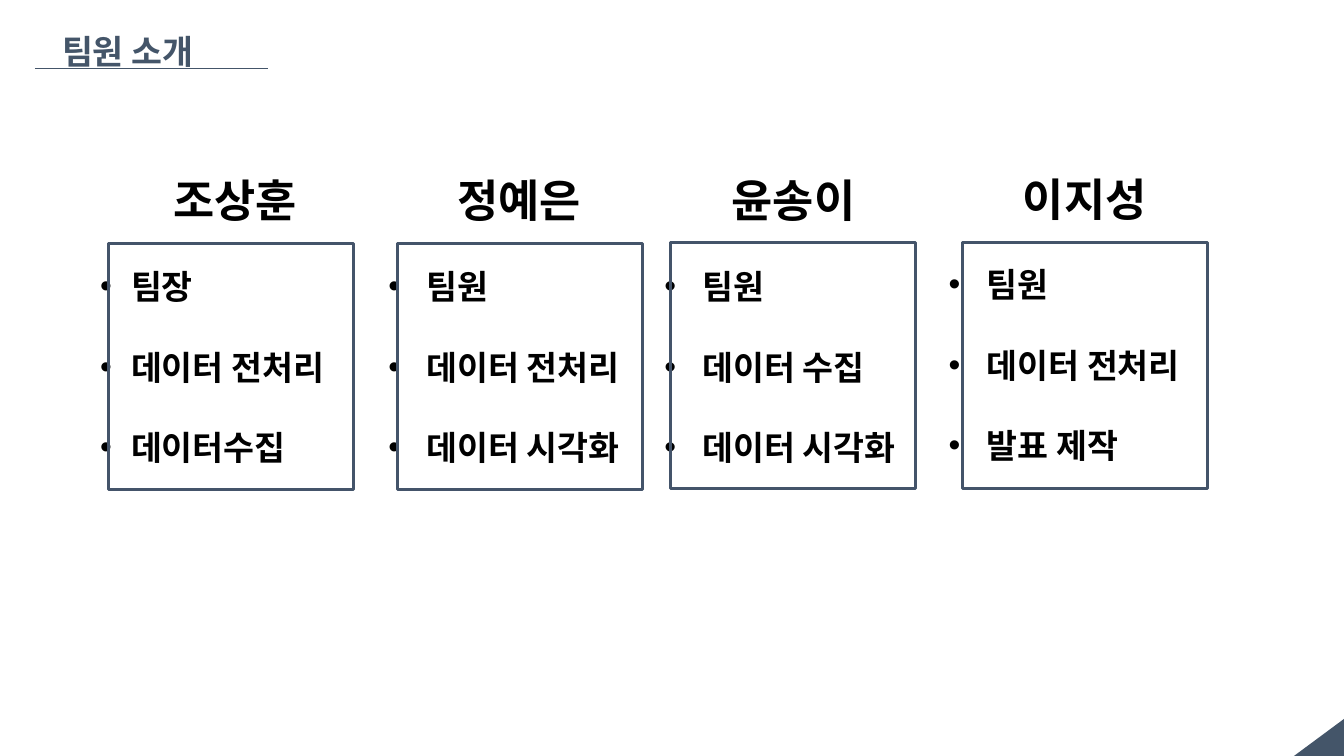
"""Build the team introduction slide."""
from lxml.etree import SubElement
from pptx import Presentation
from pptx.dml.color import RGBColor
from pptx.enum.shapes import MSO_CONNECTOR, MSO_SHAPE
from pptx.enum.text import MSO_ANCHOR, MSO_AUTO_SIZE, PP_ALIGN
from pptx.oxml.ns import qn
from pptx.util import Emu, Pt

SCALE = 9080
MEMBERS = [
    ("조상훈", (163, 168), (108, 243), (90, 260), 31, ["팀장", "데이터 전처리", "데이터수집"]),
    ("정예은", (447, 168), (397, 243), (378, 260), 38, ["팀원", "데이터 전처리", "데이터 시각화"]),
    ("윤송이", (721, 168), (670, 242), (654, 260), 38, ["팀원", "데이터 수집", "데이터 시각화"]),
    ("이지성", (1012, 167), (962, 242), (938, 258), 38, ["팀원", "데이터 전처리", "발표 제작"]),
]


def px(value):
    return Emu(value * SCALE)


def color(code):
    return RGBColor.from_string(code)


def apply(target, values):
    for name, value in values.items():
        setattr(target, name, value)


class TeamSlide:
    font_name = "Noto Sans CJK KR"
    accent = "445569"
    frame_line = "44546A"
    ink = "000000"

    def __init__(self, presentation):
        self.slide = presentation.slides.add_slide(presentation.slide_layouts[4])

    def place(self, shape, left, top, width, height):
        apply(shape, {"left": px(left), "top": px(top), "width": px(width), "height": px(height)})

    def fill_text(self, shape, lines, size, code, align=PP_ALIGN.LEFT, wrap=True, hang=None):
        frame = shape.text_frame
        apply(frame, {
            "text": "\n".join(lines), "word_wrap": wrap,
            "auto_size": MSO_AUTO_SIZE.NONE, "vertical_anchor": MSO_ANCHOR.TOP,
            "margin_left": px(10), "margin_right": px(10),
            "margin_top": px(5), "margin_bottom": px(5),
        })
        for index, paragraph in enumerate(frame.paragraphs):
            if hang:
                self.bullet(paragraph, hang)
            apply(paragraph, {
                "alignment": align, "line_spacing": Pt(round(size * 1.2)),
                "space_before": Pt(28.7 if index else 0), "space_after": Pt(0),
            })
            for run in paragraph.runs:
                apply(run.font, {"size": Pt(size), "bold": True, "name": self.font_name})
                run.font.color.rgb = color(code)
                SubElement(run._r.get_or_add_rPr(), qn("a:ea"), typeface=self.font_name)

    def bullet(self, paragraph, hang):
        properties = paragraph._p.get_or_add_pPr()
        properties.set("marL", str(px(hang)))
        properties.set("indent", str(-px(hang)))
        bullet_color = SubElement(properties, qn("a:buClr"))
        SubElement(bullet_color, qn("a:srgbClr"), val=self.ink)
        SubElement(properties, qn("a:buFont"), typeface="Arial")
        SubElement(properties, qn("a:buChar"), char="•")

    def title(self, text):
        shape = self.slide.shapes.title
        self.place(shape, 52, 26, 390, 43)
        self.fill_text(shape, [text], 24, self.accent)

    def rule(self, left, right, top):
        line = self.slide.shapes.add_connector(
            MSO_CONNECTOR.STRAIGHT, px(left), px(top), px(right), px(top))
        line.line.color.rgb = color(self.accent)
        line.line.width = Pt(0.75)
        SubElement(line._element.spPr, qn("a:effectLst"))

    def name(self, text, left, top):
        shape = self.slide.shapes.add_textbox(px(left), px(top), px(144), px(64))
        self.fill_text(shape, [text], 32, self.ink, PP_ALIGN.CENTER, wrap=False)

    def frame(self, left, top):
        shape = self.slide.shapes.add_shape(
            MSO_SHAPE.RECTANGLE, px(left), px(top), px(245), px(246))
        shape.shadow.inherit = False
        shape.fill.background()
        shape.line.color.rgb = color(self.frame_line)
        shape.line.width = Pt(2.25)

    def roles(self, placeholder, items, left, top, hang):
        self.place(placeholder, left, top, 275, 220)
        self.fill_text(placeholder, items, 24, self.ink, hang=hang)

    def corner(self, left, top, width, height):
        shape = self.slide.shapes.add_shape(
            MSO_SHAPE.RIGHT_TRIANGLE, px(left), px(top), px(width), px(height))
        shape._element.spPr.xfrm.set("flipH", "1")
        shape.shadow.inherit = False
        shape.fill.solid()
        shape.fill.fore_color.rgb = color(self.accent)
        shape.line.fill.background()


def main():
    presentation = Presentation()
    apply(presentation, {"slide_width": px(1343), "slide_height": px(755)})
    team = TeamSlide(presentation)
    team.corner(1293, 718, 50, 37)
    team.title("팀원 소개")
    team.rule(35, 268, 68)
    bodies = list(team.slide.placeholders)[1:5]
    for body, (name, name_at, frame_at, roles_at, hang, items) in zip(bodies, MEMBERS):
        team.name(name, *name_at)
        team.frame(*frame_at)
        team.roles(body, items, *roles_at, hang)
    presentation.save("out.pptx")


if __name__ == "__main__":
    main()
